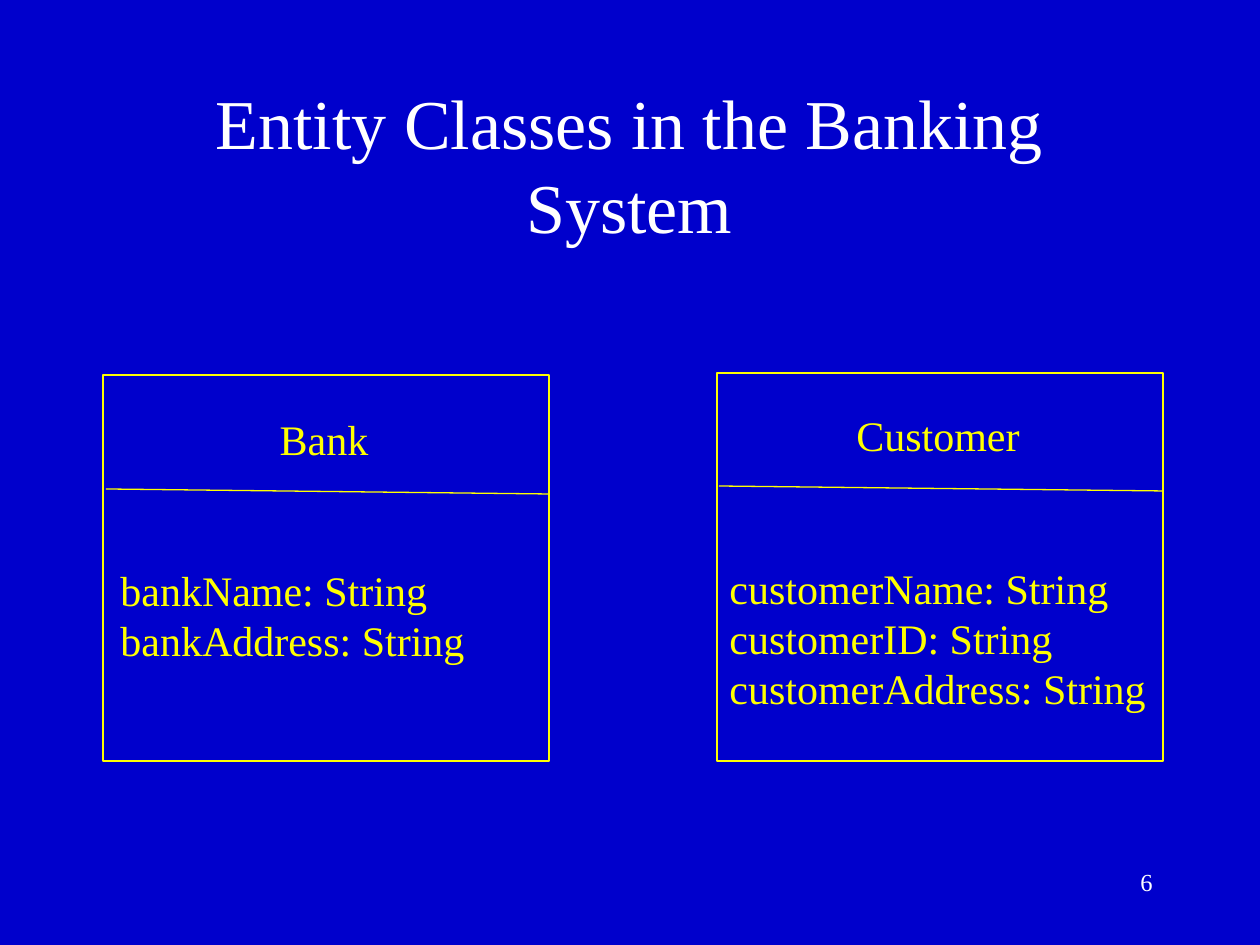
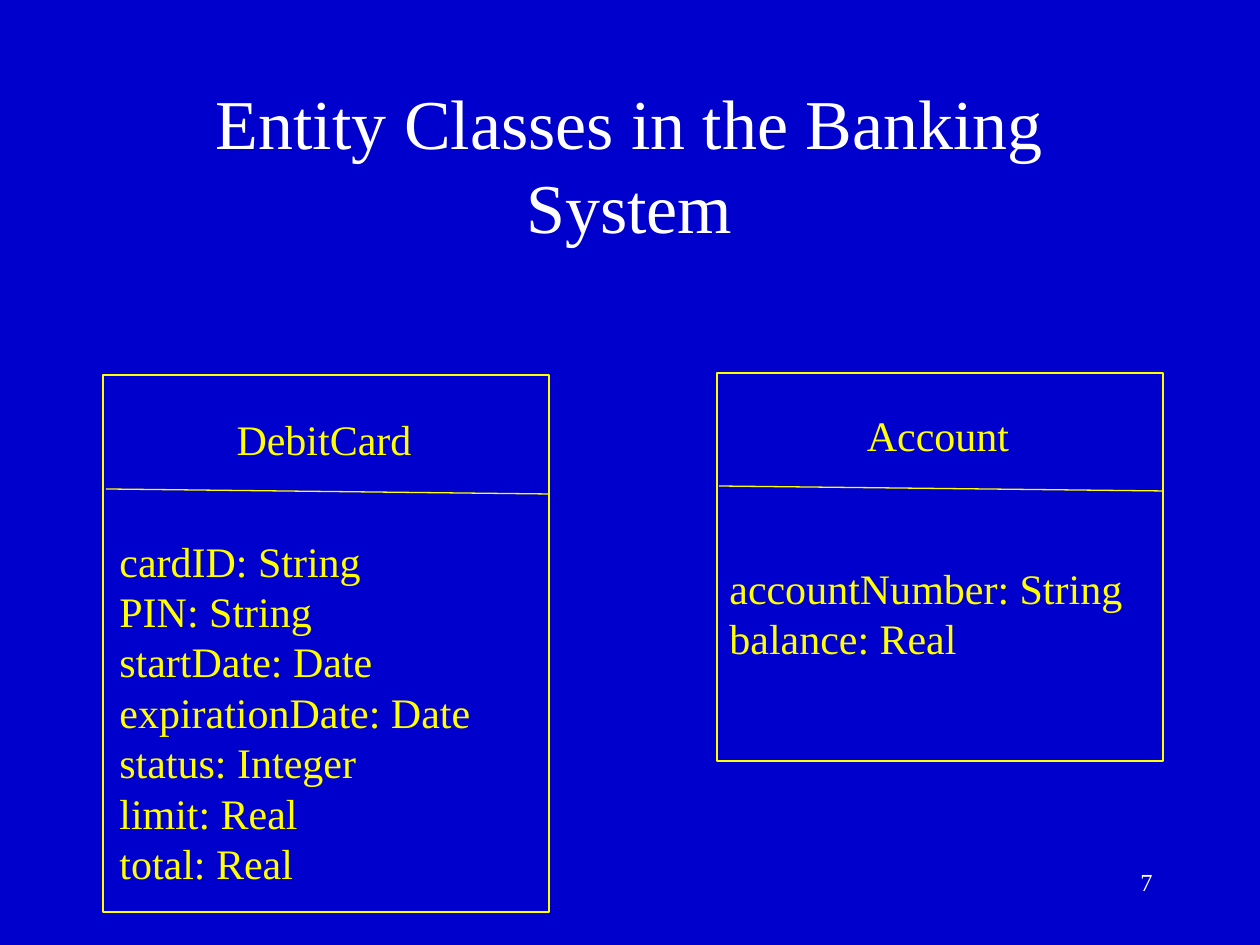
import pptx
import pptx.util
import pptx.dml.color
import pptx.enum.shapes
import pptx.enum.text
import pptx.oxml.ns
import lxml.etree

EMU_PER_PX = 914400 / 126
FONT = "Times New Roman"
BLUE, YELLOW, WHITE = "0000CC", "FFFF00", "FFFFFF"
ALIGN = pptx.enum.text.PP_ALIGN
TITLE = "Entity Classes in the Banking System"
BOX_WIDTH, NAME_WIDTH = 446, 220

# Box left and top, divider start, centre and top of the class name
LEFT_SIDE = (103, 375), (106, 489), (324, 407)
RIGHT_SIDE = (717, 373), (719, 486), (938, 403)

# Page number, then per class: side, box height, name, attribute position, attributes
PAGES = [
    ("6", [
        (LEFT_SIDE, 386, "Bank", (108, 558), ["bankName: String", "bankAddress: String"]),
        (RIGHT_SIDE, 388, "Customer", (717, 556),
         ["customerName: String", "customerID: String", "customerAddress: String"]),
    ]),
    ("7", [
        (LEFT_SIDE, 537, "DebitCard", (107, 529),
         ["cardID: String", "PIN: String", "startDate: Date", "expirationDate: Date",
          "status: Integer", "limit: Real", "total: Real"]),
        (RIGHT_SIDE, 388, "Account", (717, 556), ["accountNumber: String", "balance: Real"]),
    ]),
]


def px(*lengths):
    return [pptx.util.Emu(round(length * EMU_PER_PX)) for length in lengths]


def rgb(value):
    return pptx.dml.color.RGBColor.from_string(value)


prs = pptx.Presentation()
prs.slide_width, prs.slide_height = px(1260, 945)

for page_number, entity_classes in PAGES:
    slide = prs.slides.add_slide(prs.slide_layouts[6])
    slide.background.fill.solid()
    slide.background.fill.fore_color.rgb = rgb(BLUE)

    # Title and page number; class texts are added to the same list
    texts = [
        (TITLE, (94, 84, 1071, 158), 40, WHITE, ALIGN.CENTER, pptx.enum.text.MSO_ANCHOR.MIDDLE),
        (page_number, (903, 861, 262, 63), 14, WHITE, ALIGN.RIGHT, pptx.enum.text.MSO_ANCHOR.TOP),
    ]

    for side, height, name, attribute_at, attributes in entity_classes:
        (left, top), (line_x, line_y), (name_center, name_top) = side

        # Class outline
        outline = slide.shapes.add_shape(
            pptx.enum.shapes.MSO_SHAPE.RECTANGLE, *px(left, top, BOX_WIDTH, height))
        outline.shadow.inherit = False
        outline.fill.background()

        # Slightly sloping divider under the class name
        divider = slide.shapes.add_connector(
            pptx.enum.shapes.MSO_CONNECTOR.STRAIGHT,
            *px(line_x, line_y, left + BOX_WIDTH, line_y + 5))
        lxml.etree.SubElement(divider._element.spPr, pptx.oxml.ns.qn("a:effectLst"))

        for stroke in (outline.line, divider.line):
            stroke.color.rgb = rgb(YELLOW)
            stroke.width = pptx.util.Pt(0.75)

        # Class name and attributes
        texts.append((name, (name_center - NAME_WIDTH // 2, name_top, NAME_WIDTH, 63),
                      24, YELLOW, ALIGN.CENTER, pptx.enum.text.MSO_ANCHOR.TOP))
        texts.append(("\n".join(attributes),
                      (*attribute_at, BOX_WIDTH, 13 + 50 * len(attributes)),
                      24, YELLOW, ALIGN.LEFT, pptx.enum.text.MSO_ANCHOR.TOP))

    for text, place, size, color, alignment, anchor in texts:
        frame = slide.shapes.add_textbox(*px(*place)).text_frame
        frame.word_wrap = True
        frame.vertical_anchor = anchor
        frame.text = text
        for paragraph in frame.paragraphs:
            paragraph.alignment = alignment
            for run in paragraph.runs:
                run.font.name = FONT
                run.font.size = pptx.util.Pt(size)
                run.font.color.rgb = rgb(color)

prs.save("out.pptx")
